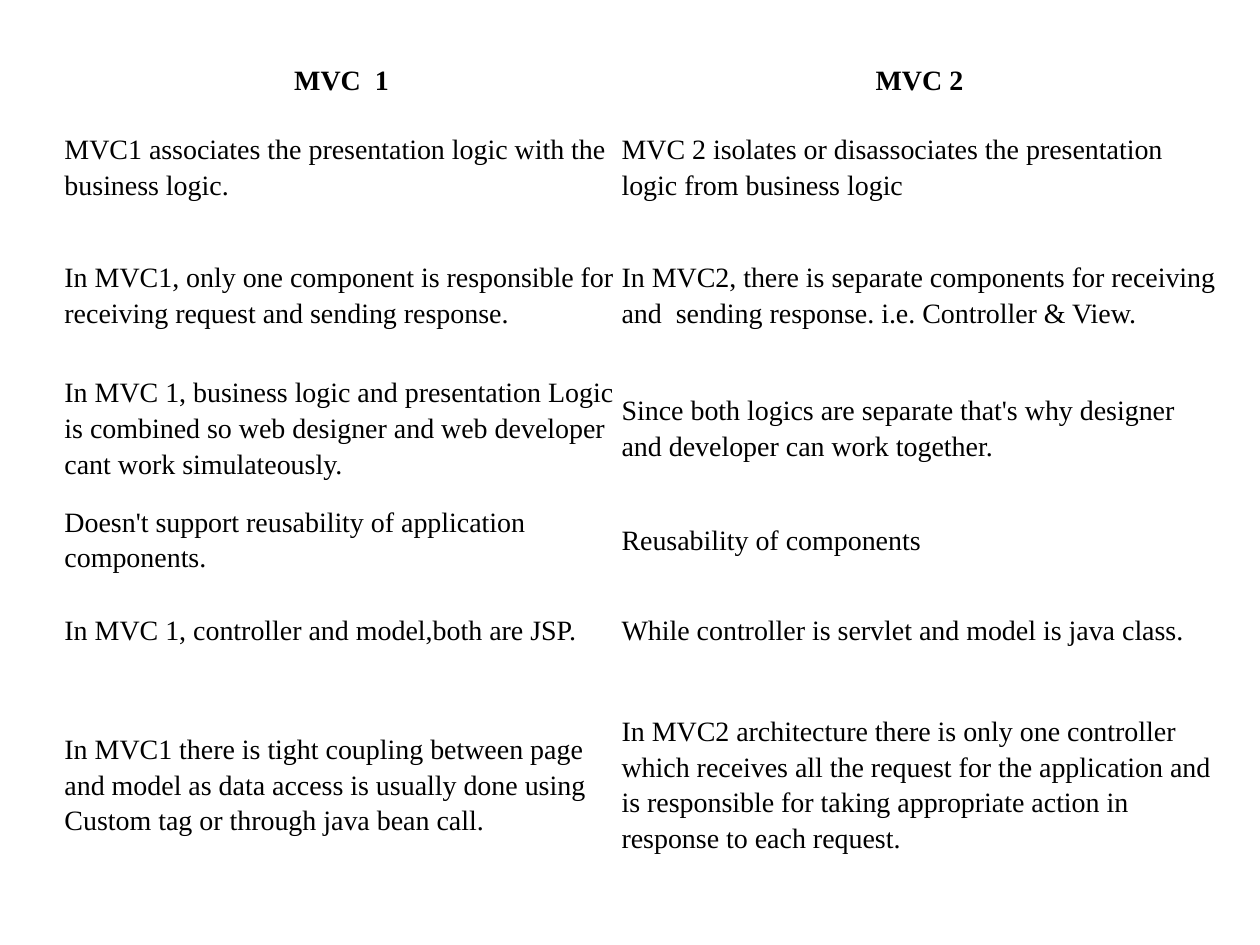
from dataclasses import dataclass

from lxml.etree import SubElement
from pptx import Presentation
from pptx.dml.color import RGBColor as Rgb
from pptx.enum.text import MSO_ANCHOR as Anchor, PP_ALIGN as Align
from pptx.oxml.ns import qn
from pptx.util import Cm, Pt


@dataclass(frozen=True)
class Theme:
    """Colours, typeface and sizes of the comparison."""
    ink: str = "000000"
    border: str = "FFFFFF"
    typeface: str = "Times New Roman"
    text_size: float = 16
    border_width: float = 0.75


THEME = Theme()
COLUMN_WIDTHS = (11.23, 12.07)
ROW_HEIGHTS = (1.04, 2.46, 2.69, 2.69, 1.8, 1.83, 4.42)
CELL_FORMAT = {
    "margin_left": Cm(0.03), "margin_right": Cm(0.03),
    "margin_top": Cm(0.13), "margin_bottom": Cm(0.13),
    "vertical_anchor": Anchor.MIDDLE,
}
HEADING_FORMAT = {"alignment": Align.CENTER, "line_spacing": 1.15, "space_after": Pt(10)}
POINT_FORMAT = {"alignment": Align.LEFT, "line_spacing": 1.15, "space_after": Pt(0)}

COMPARISON = (
    ("MVC  1", "MVC 2"),
    ("MVC1 associates the presentation logic with the business logic.",
     "MVC 2 isolates or disassociates the presentation logic from business logic"),
    ("In MVC1, only one component is responsible for receiving request and sending response.",
     "In MVC2, there is separate components for receiving and  sending response. "
     "i.e. Controller & View."),
    ("In MVC 1, business logic and presentation Logic is combined so web designer "
     "and web developer cant work simulateously.",
     "Since both logics are separate that's why designer and developer can work together."),
    ("Doesn't support reusability of application components.",
     "Reusability of components"),
    ("In MVC 1, controller and model,both are JSP.",
     "While controller is servlet and model is java class."),
    ("In MVC1 there is tight coupling between page and model as data access is usually "
     "done using Custom tag or through java bean call.",
     "In MVC2 architecture there is only one controller which receives all the request "
     "for the application and is responsible for taking appropriate action in response "
     "to each request."),
)


def apply_format(target, values):
    """Set each named attribute on the target."""
    for name, value in values.items():
        setattr(target, name, value)


def draw_borders(cell):
    """Line all four sides of a cell."""
    properties = cell._tc.get_or_add_tcPr()
    for side in ("a:lnL", "a:lnR", "a:lnT", "a:lnB"):
        edge = SubElement(properties, qn(side), w=str(Pt(THEME.border_width)))
        paint = SubElement(edge, qn("a:solidFill"))
        SubElement(paint, qn("a:srgbClr"), val=THEME.border)


def write_cell(cell, wording, is_heading):
    """Fill a cell with one heading or one point."""
    apply_format(cell, CELL_FORMAT)
    draw_borders(cell)
    cell.fill.background()
    statement = cell.text_frame.paragraphs[0]
    apply_format(statement, HEADING_FORMAT if is_heading else POINT_FORMAT)
    lettering = statement.add_run()
    lettering.text = wording
    apply_format(lettering.font, {
        "name": THEME.typeface, "size": Pt(THEME.text_size), "bold": is_heading,
    })
    lettering.font.color.rgb = Rgb.from_string(THEME.ink)


def add_comparison(slide):
    """Place the two-column comparison of MVC 1 and MVC 2."""
    comparison = slide.shapes.add_table(
        len(ROW_HEIGHTS), len(COLUMN_WIDTHS), Cm(1.27), Cm(1.07),
        Cm(sum(COLUMN_WIDTHS)), Cm(sum(ROW_HEIGHTS)),
    ).table
    apply_format(comparison, {"first_row": False, "horz_banding": False})
    for column, width in zip(comparison.columns, COLUMN_WIDTHS):
        column.width = Cm(width)
    for row, height in zip(comparison.rows, ROW_HEIGHTS):
        row.height = Cm(height)
    for index, pair in enumerate(COMPARISON):
        for cell, wording in zip(comparison.rows[index].cells, pair):
            write_cell(cell, wording, index == 0)


def main():
    """Build and save the slide."""
    deck = Presentation()
    apply_format(deck, {"slide_width": Cm(25.4), "slide_height": Cm(19.05)})
    add_comparison(deck.slides.add_slide(deck.slide_layouts[6]))
    deck.save("out.pptx")


if __name__ == "__main__":
    main()
